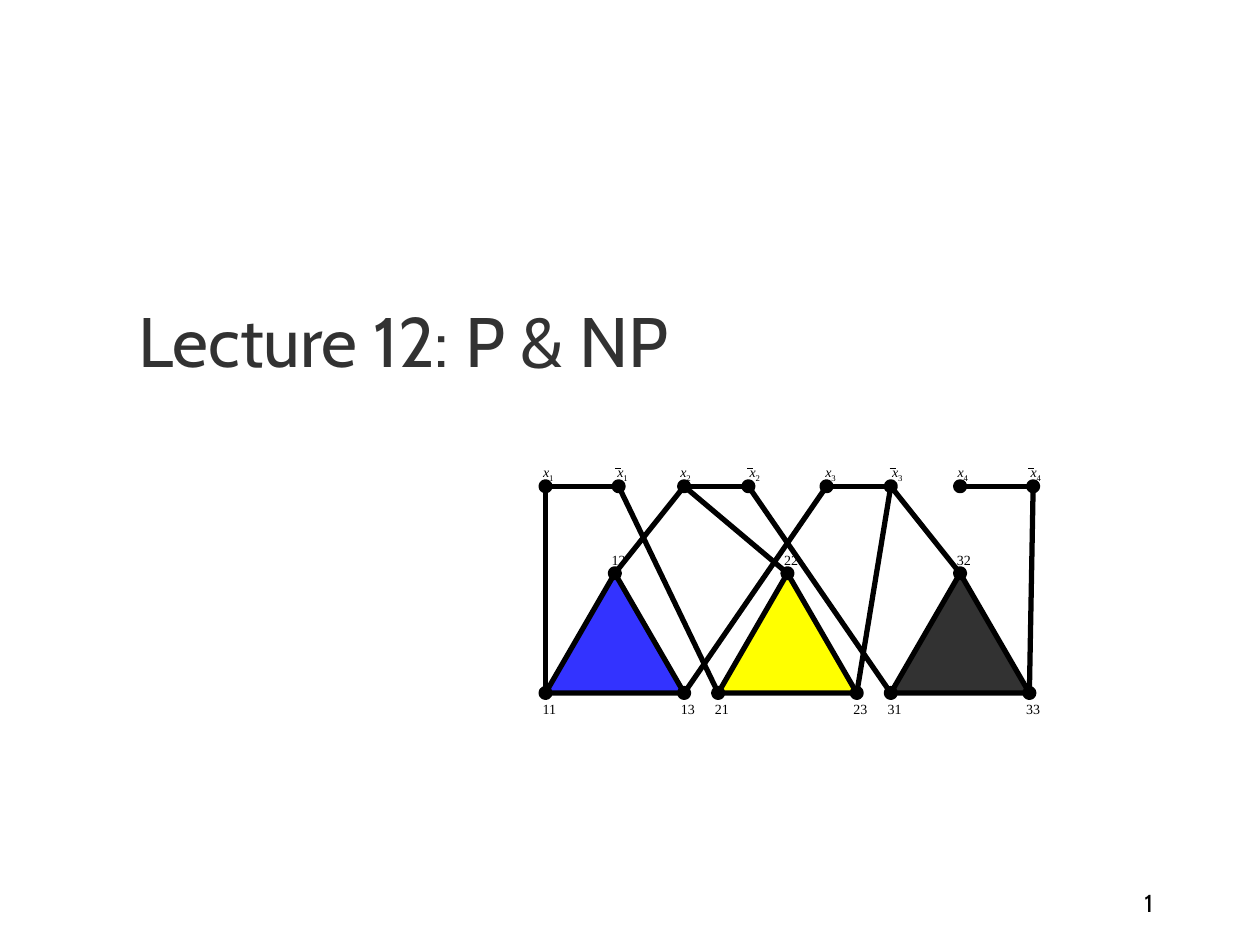
from lxml import etree
from pptx import Presentation
from pptx.dml.color import RGBColor
from pptx.enum import shapes, text
from pptx.oxml.ns import qn
from pptx.util import Inches, Pt

WHITE = RGBColor(0xFF, 0xFF, 0xFF)
BLACK = RGBColor(0, 0, 0)
CHARCOAL = RGBColor(0x32, 0x32, 0x32)
BLUE = RGBColor(0x33, 0x33, 0xFF)
YELLOW = RGBColor(0xFF, 0xFF, 0)

HEADING_FONT, GRAPH_FONT = "Cabin", "Times New Roman"
EDGE_WIDTH = 3
DOT_SIZE = 0.07
LITERAL_Y, APEX_Y, BASE_Y = 3.86, 4.55, 5.5
CLAUSE_LEFT, CLAUSE_STEP, CLAUSE_WIDTH = 4.33, 1.37, 1.1
CLAUSE_FILLS = [BLUE, YELLOW, CHARCOAL]

# Literal: (node x, label left, subscript, negated)
LITERALS = [
    (4.33, 4.29, "1", False), (4.91, 4.88, "1", True),
    (5.43, 5.38, "2", False), (5.94, 5.93, "2", True),
    (6.56, 6.53, "3", False), (7.07, 7.06, "3", True),
    (7.62, 7.58, "4", False), (8.2, 8.16, "4", True),
]

# Clause vertex to the index of the literal it is joined to
CLAUSE_LITERALS = {"11": 0, "12": 2, "13": 4, "21": 1, "22": 2,
                   "23": 5, "31": 3, "32": 5, "33": 7}


def clause_vertices():
    """Map each vertex label to its position, three vertices per clause."""
    vertices = {}
    for i in range(len(CLAUSE_FILLS)):
        left = CLAUSE_LEFT + i * CLAUSE_STEP
        corners = [(left, BASE_Y), (left + CLAUSE_WIDTH / 2, APEX_Y),
                   (left + CLAUSE_WIDTH, BASE_Y)]
        for j, corner in enumerate(corners, 1):
            vertices[f"{i + 1}{j}"] = corner
    return vertices


def add_text(slide, box, wording, size, font, color,
             align=text.PP_ALIGN.LEFT, italic=False):
    frame = slide.shapes.add_textbox(*map(Inches, box)).text_frame
    frame.word_wrap = True
    frame.vertical_anchor = text.MSO_ANCHOR.BOTTOM
    frame.text = wording
    paragraph = frame.paragraphs[0]
    paragraph.alignment = align
    run_font = paragraph.runs[0].font
    run_font.size, run_font.name, run_font.italic = Pt(size), font, italic
    run_font.color.rgb = color
    return frame


def add_label(slide, box, wording, size=8, italic=False):
    """Add a small centred graph label without margins."""
    frame = add_text(slide, box, wording, size, GRAPH_FONT, BLACK,
                     text.PP_ALIGN.CENTER, italic)
    frame.word_wrap = False
    frame.auto_size = text.MSO_AUTO_SIZE.SHAPE_TO_FIT_TEXT
    frame.vertical_anchor = text.MSO_ANCHOR.TOP
    frame.margin_left = frame.margin_right = 0
    frame.margin_top = frame.margin_bottom = 0


def add_line(slide, start, end, width=EDGE_WIDTH):
    line = slide.shapes.add_connector(
        shapes.MSO_CONNECTOR.STRAIGHT, *map(Inches, (*start, *end)))
    line.line.color.rgb = BLACK
    line.line.width = Pt(width)
    etree.SubElement(line._element.spPr, qn("a:effectLst"))


def paint(shape, fill):
    shape.shadow.inherit = False
    shape.fill.solid()
    shape.fill.fore_color.rgb = fill
    shape.line.color.rgb = BLACK
    shape.line.width = Pt(EDGE_WIDTH)


def add_triangle(slide, corners, fill):
    points = [(Inches(x), Inches(y)) for x, y in corners]
    builder = slide.shapes.build_freeform(*points[0])
    builder.add_line_segments(points[1:], close=True)
    paint(builder.convert_to_shape(), fill)


def add_dot(slide, center):
    x, y = center
    box = (x - DOT_SIZE / 2, y - DOT_SIZE / 2, DOT_SIZE, DOT_SIZE)
    paint(slide.shapes.add_shape(shapes.MSO_SHAPE.OVAL, *map(Inches, box)), BLACK)


def add_literal_label(slide, left, subscript, negated):
    add_label(slide, (left, 3.68, 0.09, 0.15), "x", italic=True)
    add_label(slide, (left + 0.05, 3.75, 0.07, 0.11), subscript, size=5)
    if negated:
        add_line(slide, (left, 3.72), (left + 0.05, 3.72), width=0.38)


def add_vertex_label(slide, name, vertex):
    x, y = vertex
    top = 4.38 if y == APEX_Y else 5.56
    add_label(slide, (x - 0.05, top, 0.16, 0.15), name)


def add_reduction_graph(slide):
    vertices = clause_vertices()
    corners = list(vertices.values())
    literals = [(x, LITERAL_Y) for x, *_ in LITERALS]

    for i, fill in enumerate(CLAUSE_FILLS):
        add_triangle(slide, corners[3 * i:3 * i + 3], fill)
    for plain, negation in zip(literals[::2], literals[1::2]):
        add_line(slide, plain, negation)
    for node in corners + literals:
        add_dot(slide, node)
    for _, *label in LITERALS:
        add_literal_label(slide, *label)
    for name, vertex in vertices.items():
        add_vertex_label(slide, name, vertex)
    for name, literal in CLAUSE_LITERALS.items():
        add_line(slide, vertices[name], literals[literal])


def main():
    prs = Presentation()
    prs.slide_width, prs.slide_height = Inches(10), Inches(7.5)
    slide = prs.slides.add_slide(prs.slide_layouts[6])
    slide.background.fill.solid()
    slide.background.fill.fore_color.rgb = WHITE

    add_text(slide, (7.17, 6.83, 2.08, 0.5), "1", 14, HEADING_FONT, BLACK,
             text.PP_ALIGN.RIGHT)
    add_text(slide, (1, 1.83, 8.5, 1.25), "Lecture 12: P & NP", 40,
             HEADING_FONT, CHARCOAL)
    add_reduction_graph(slide)
    prs.save("out.pptx")


if __name__ == "__main__":
    main()
